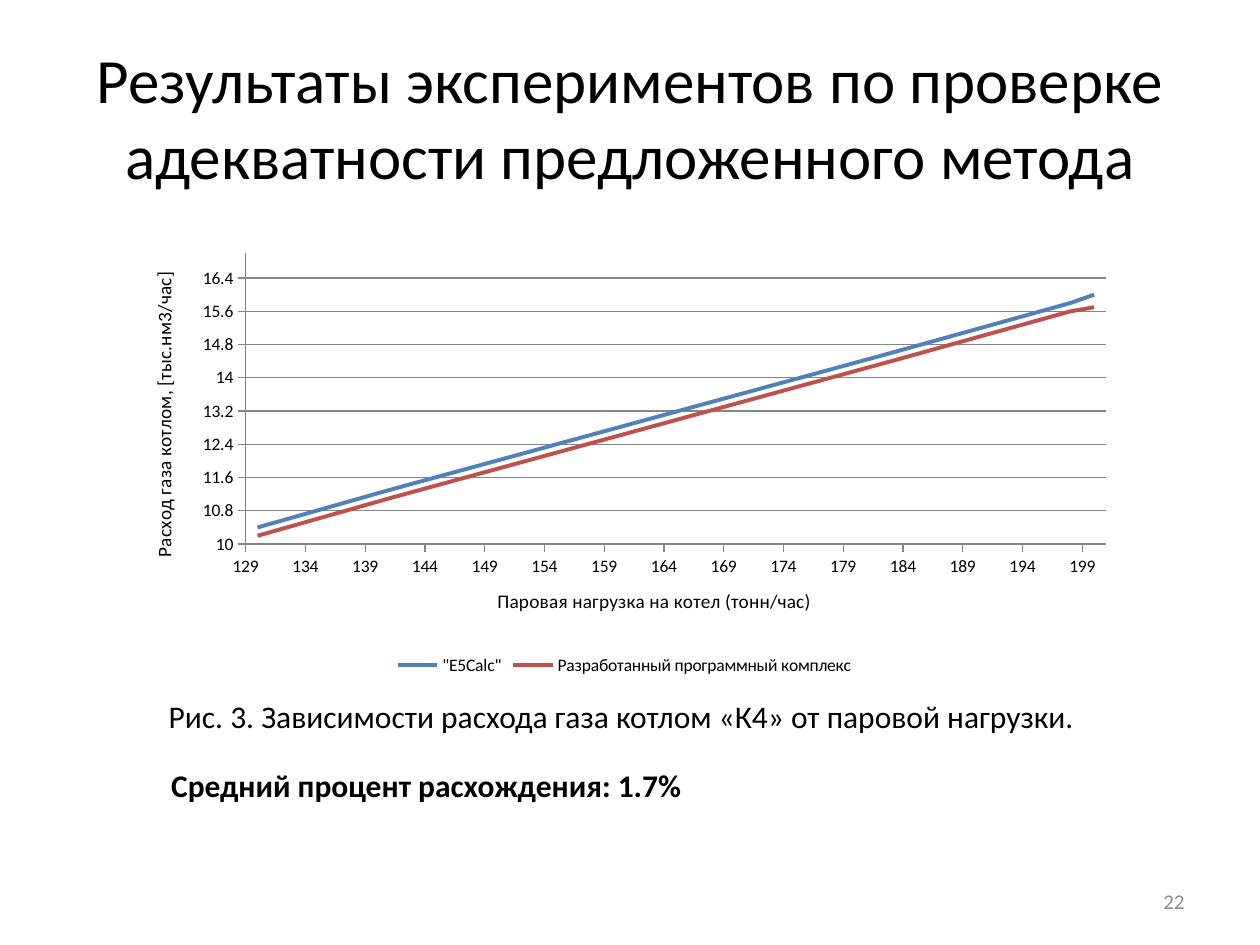
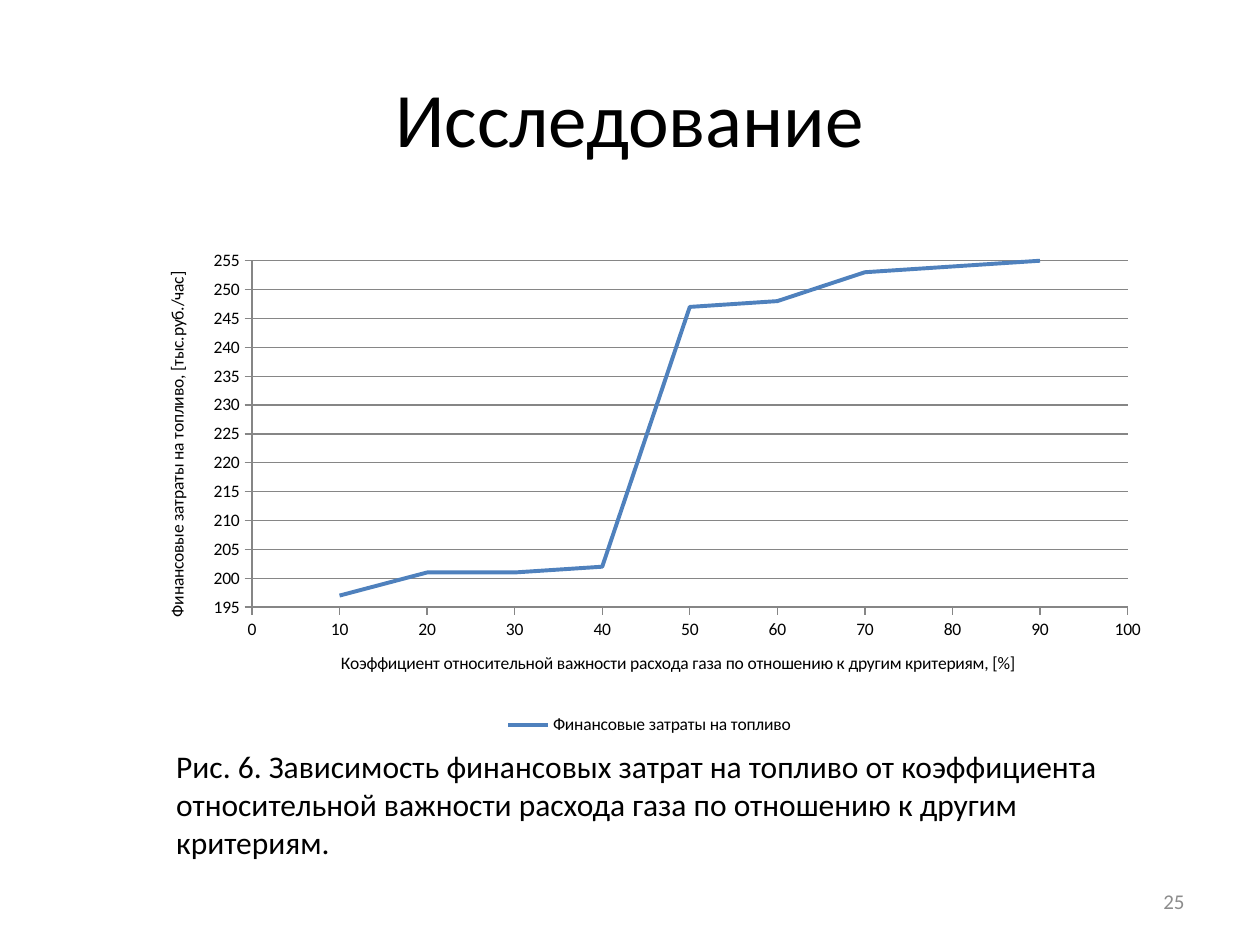
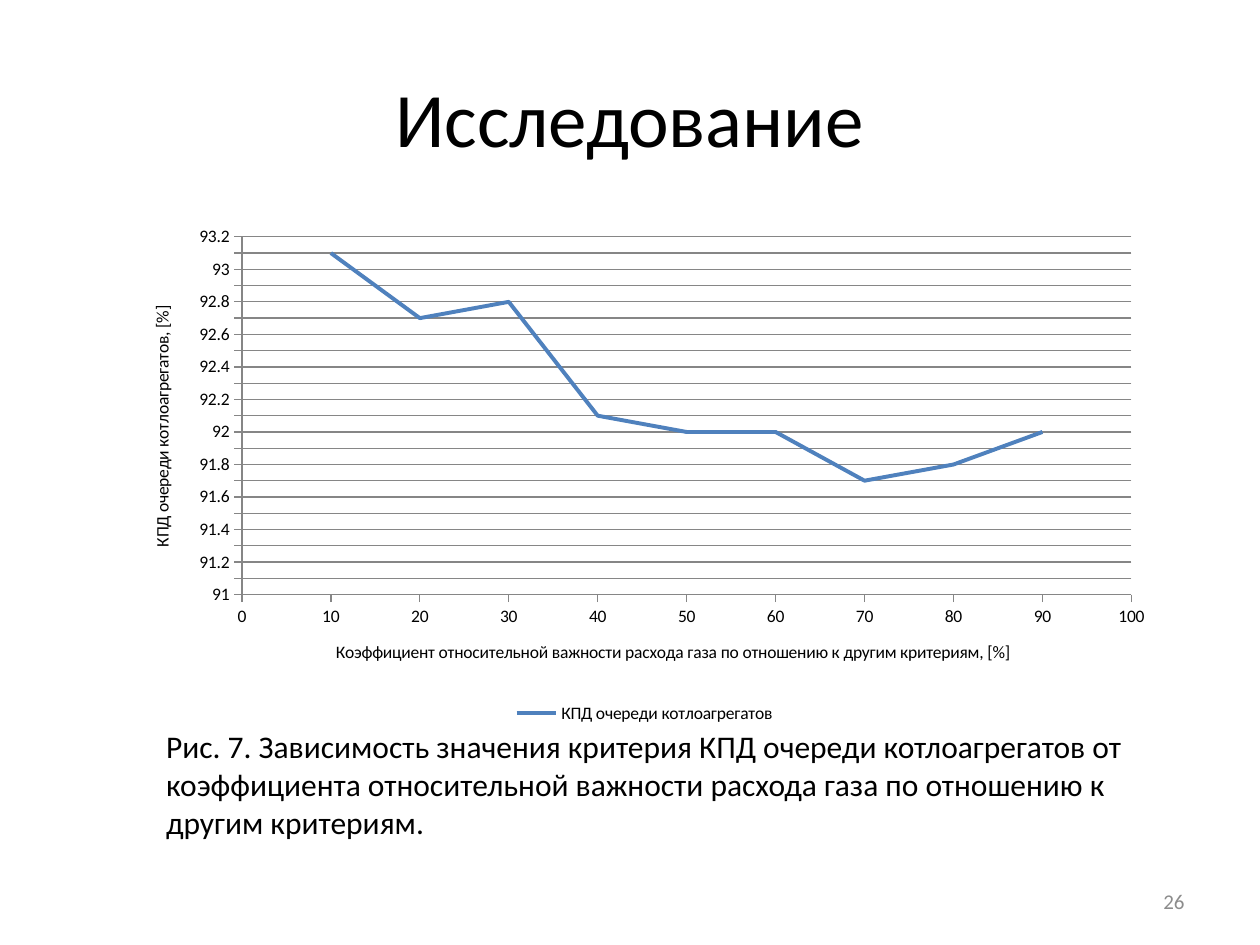
from lxml.etree import SubElement
from pptx import Presentation
from pptx.chart.data import XyChartData
from pptx.dml.color import RGBColor
from pptx.enum.chart import XL_CHART_TYPE, XL_LEGEND_POSITION, XL_TICK_MARK
from pptx.enum.text import MSO_ANCHOR, PP_ALIGN
from pptx.oxml.ns import qn
from pptx.util import Inches, Pt

FONT = "Calibri"
BLACK = RGBColor(0, 0, 0)
GRAY = RGBColor(0x8C, 0x8C, 0x8C)
AXIS_GRAY = RGBColor(0x86, 0x86, 0x86)
SERIES_COLORS = [RGBColor(0x4F, 0x81, 0xBD), RGBColor(0xC0, 0x50, 0x4D)]

TITLE_BOX = (0.5, 0.3, 9, 1.25)
NUMBER_BOX = (7.17, 6.95, 2.33, 0.4)

LOADS = [130, 141, 183, 198, 200]
WEIGHTS = range(10, 100, 10)
WEIGHT_TITLE = "Коэффициент относительной важности расхода газа по отношению к другим критериям, [%]"
WEIGHT_AXIS = dict(title=WEIGHT_TITLE, low=0, high=100, step=10)


def format_font(font, size, color=BLACK, bold=False):
    font.name = FONT
    font.size = Pt(size)
    font.bold = bold
    font.color.rgb = color


def add_text(slide, box, text, size=18, color=BLACK, bold=False,
             align=PP_ALIGN.LEFT, anchor=MSO_ANCHOR.TOP):
    tf = slide.shapes.add_textbox(*map(Inches, box)).text_frame
    tf.word_wrap = True
    tf.vertical_anchor = anchor
    p = tf.paragraphs[0]
    p.alignment = align
    r = p.add_run()
    r.text = text
    format_font(r.font, size, color, bold)


def add_frame(prs, title, number, title_size=44):
    slide = prs.slides.add_slide(prs.slide_layouts[6])
    add_text(slide, TITLE_BOX, title, size=title_size,
             align=PP_ALIGN.CENTER, anchor=MSO_ANCHOR.MIDDLE)
    add_text(slide, NUMBER_BOX, str(number), size=12, color=GRAY,
             align=PP_ALIGN.RIGHT, anchor=MSO_ANCHOR.MIDDLE)
    return slide


def set_layout(element, box, place, inner=False):
    layout = element.find(qn("c:layout"))
    if layout is None:
        layout = SubElement(element, qn("c:layout"))
        element.insert(0 if element.find(qn("c:tx")) is None else 1, layout)
    manual = SubElement(layout, qn("c:manualLayout"))
    if inner:
        SubElement(manual, qn("c:layoutTarget")).set("val", "inner")
    for name in ("xMode", "yMode"):
        SubElement(manual, qn(f"c:{name}")).set("val", "edge")
    for name, length, whole in zip("xywh", place, box[2:] * 2):
        SubElement(manual, qn(f"c:{name}")).set("val", f"{length / whole:.4f}")


def format_axis(axis, box, place, title, low, high, step, title_size=10, grid=False):
    axis.minimum_scale, axis.maximum_scale, axis.major_unit = low, high, step
    axis.major_tick_mark = XL_TICK_MARK.OUTSIDE
    axis.minor_tick_mark = XL_TICK_MARK.NONE
    axis.has_major_gridlines = grid
    axis.tick_labels.number_format = "General"
    axis.tick_labels.number_format_is_linked = False
    lines = [axis.format.line]
    if grid:
        lines.append(axis.major_gridlines.format.line)
    for line in lines:
        line.color.rgb = AXIS_GRAY
        line.width = Pt(0.75)
    tf = axis.axis_title.text_frame
    r = tf.paragraphs[0].add_run()
    r.text = title
    format_font(r.font, title_size)
    if grid:
        body = tf._txBody.find(qn("a:bodyPr"))
        body.set("rot", "-5400000")
        body.set("vert", "horz")
    set_layout(axis.axis_title._element, box, place)


def add_line_chart(slide, box, xs, series, x_axis, y_axis, plot, x_place, y_place, smooth=False):
    data = XyChartData()
    for name, values in series.items():
        points = data.add_series(name)
        for x, y in zip(xs, values):
            points.add_data_point(x, y)
    kind = (XL_CHART_TYPE.XY_SCATTER_SMOOTH_NO_MARKERS if smooth
            else XL_CHART_TYPE.XY_SCATTER_LINES_NO_MARKERS)
    chart = slide.shapes.add_chart(kind, *map(Inches, box), data).chart
    chart.has_title = False
    format_font(chart.font, 10)
    chart.has_legend = True
    chart.legend.position = XL_LEGEND_POSITION.BOTTOM
    chart.legend.include_in_layout = False
    chart.plots[0].vary_by_categories = False
    for ser, color in zip(chart.plots[0].series, SERIES_COLORS):
        ser.smooth = smooth
        ser.format.line.color.rgb = color
        ser.format.line.width = Pt(2.25)
    format_axis(chart.category_axis, box, x_place, **x_axis)
    format_axis(chart.value_axis, box, y_place, grid=True, **y_axis)
    set_layout(chart._chartSpace.find(".//" + qn("c:plotArea")), box, plot, inner=True)


def add_adequacy_slide(prs):
    slide = add_frame(prs, "Результаты экспериментов по проверке адекватности предложенного метода",
                      22, title_size=36)
    add_line_chart(
        slide, (0.98, 1.94, 7.95, 3.46), LOADS,
        {'"E5Calc"': [10.4, 11.3, 14.6, 15.8, 16],
         "Разработанный программный комплекс": [10.2, 11.1, 14.4, 15.6, 15.7]},
        dict(title="Паровая нагрузка на котел (тонн/час)", low=129, high=201, step=5, title_size=11),
        dict(title="Расход газа котлом, [тыс.нм3/час]", low=10, high=17, step=0.8, title_size=11),
        plot=(0.97, 0.07, 6.83, 2.31), x_place=(2.94, 2.7), y_place=(0.19, 0.19), smooth=True)
    add_text(slide, (1.24, 5.48, 7.48, 0.4),
             "Рис. 3. Зависимости расхода газа котлом «К4» от паровой нагрузки.")
    add_text(slide, (1.26, 6.03, 7.48, 0.4), "Средний процент расхождения: 1.7%", bold=True)


def add_study_slide(prs, number, box, name, values, y_axis, caption_box, caption, **places):
    slide = add_frame(prs, "Исследование", number)
    add_line_chart(slide, box, WEIGHTS, {name: values}, WEIGHT_AXIS, y_axis, **places)
    add_text(slide, caption_box, caption)


def main():
    prs = Presentation()
    prs.slide_width, prs.slide_height = Inches(10), Inches(7.5)
    add_adequacy_slide(prs)
    add_study_slide(
        prs, 25, (1.1, 1.91, 8.11, 3.96), "Финансовые затраты на топливо",
        [197, 201, 201, 202, 247, 248, 253, 254, 255],
        dict(title="Финансовые затраты на топливо, [тыс.руб./час]", low=195, high=255, step=5),
        (1.3, 5.88, 7.95, 1.01),
        "Рис. 6. Зависимость финансовых затрат на топливо от коэффициента "
        "относительной важности расхода газа по отношению к другим критериям.",
        plot=(0.9, 0.16, 6.95, 2.75), x_place=(1.58, 3.24), y_place=(0.19, 0.22))
    add_study_slide(
        prs, 26, (0.98, 1.72, 8.27, 4.06), "КПД очереди котлоагрегатов",
        [93.1, 92.7, 92.8, 92.1, 92, 92, 91.7, 91.8, 92],
        dict(title="КПД очереди котлоагрегатов, [%]", low=91, high=93.2, step=0.1),
        (1.22, 5.72, 7.87, 1.01),
        "Рис. 7. Зависимость значения критерия КПД очереди котлоагрегатов от "
        "коэффициента относительной важности расхода газа по отношению к другим критериям.",
        plot=(0.94, 0.16, 7.06, 2.84), x_place=(1.66, 3.34), y_place=(0.19, 0.68))
    prs.save("out.pptx")


if __name__ == "__main__":
    main()
